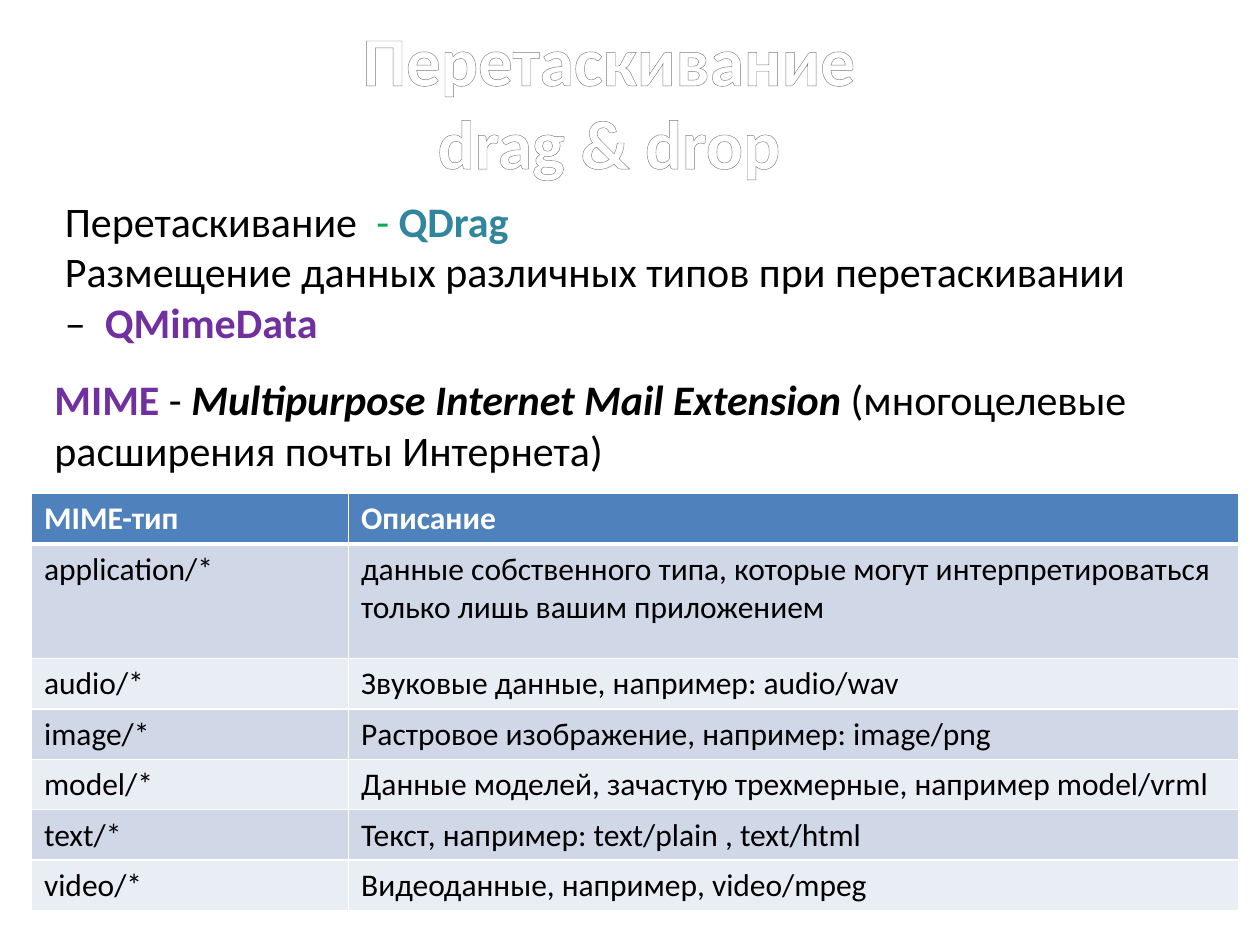
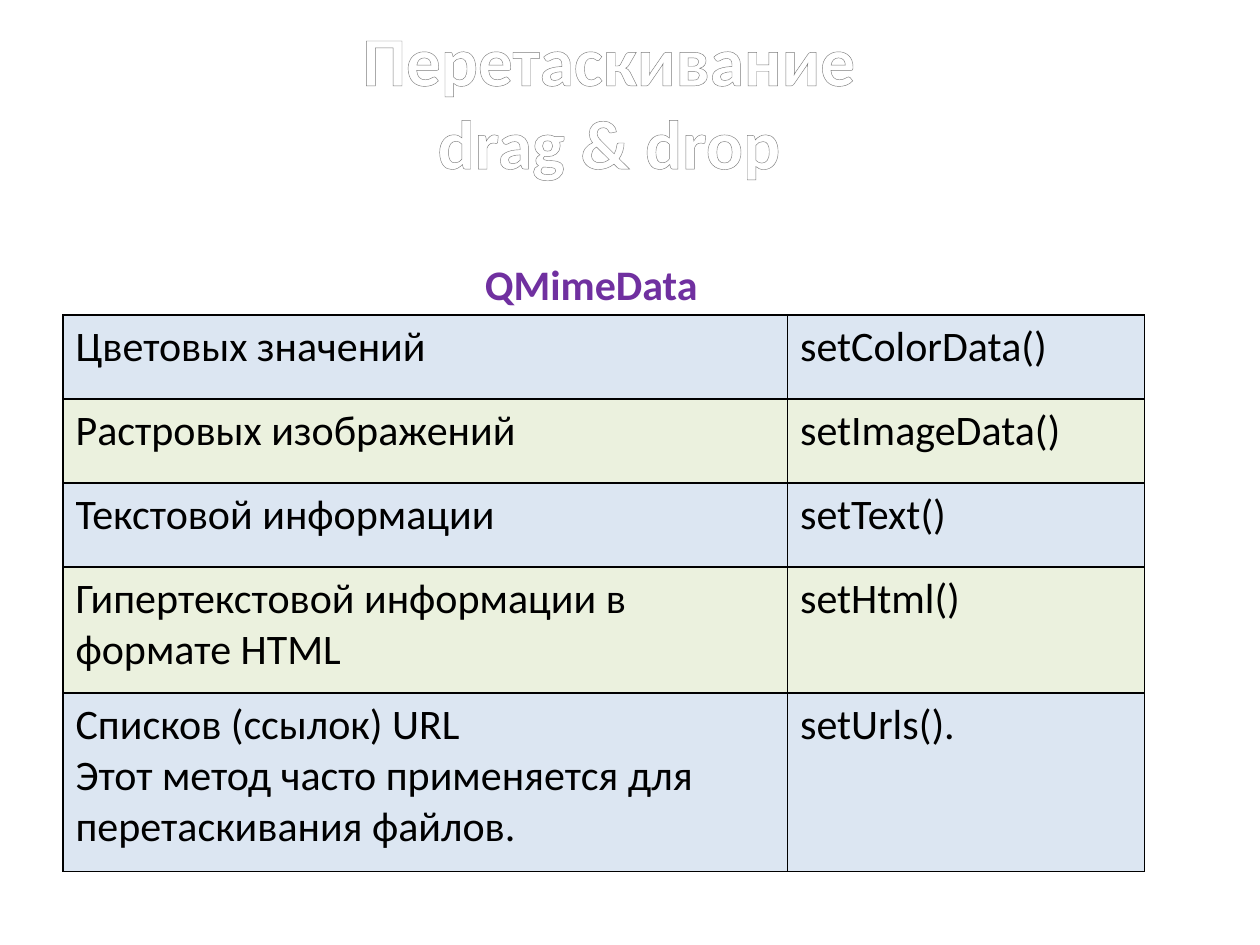
from dataclasses import dataclass

from lxml.etree import SubElement
from pptx import Presentation
from pptx.dml.color import RGBColor
from pptx.enum.text import MSO_ANCHOR as Anchor, MSO_AUTO_SIZE as AutoSize, PP_ALIGN as Align
from pptx.oxml.ns import qn
from pptx.util import Inches, Pt

COLUMNS, ROWS = 120, 90


@dataclass(frozen=True)
class Theme:
    font: str = "Calibri"
    title_size: float = 39.6
    body_size: float = 24
    mime_size: float = 18
    ink: str = "000000"
    paper: str = "FFFFFF"
    green: str = "00B050"
    teal: str = "31859C"
    purple: str = "7030A0"
    header: str = "4F81BD"
    mime_bands: tuple = ("D0D8E8", "E9EDF4")
    method_bands: tuple = ("DCE6F2", "EBF1DE")
    title_outline: str = "7D7D7D"
    title_outline_width: float = 0.83
    title_gradient: tuple = ((0, "FFFFFF"), (9, "FFFFFF"), (50, "7F7F7F"), (79, "FFFFFF"), (100, "FFFFFF"))


def solid_line(parent, tag, color, width):
    line = SubElement(parent, qn(tag), w=str(int(Pt(width))))
    fill = SubElement(line, qn("a:solidFill"))
    SubElement(fill, qn("a:srgbClr"), val=color)
    return line


def write(paragraph, text, *, font, size, color=None, bold=False, italic=False):
    run = paragraph.add_run()
    run.text = text
    run.font.size = Pt(size)
    run.font.bold = bold
    run.font.italic = italic
    if color:
        run.font.color.rgb = RGBColor.from_string(color)
    run.font.name = font
    return run


class Deck:
    def __init__(self, theme):
        self.theme = theme
        self.presentation = Presentation()
        self.presentation.slide_width = Inches(10)
        self.presentation.slide_height = Inches(7.5)
        self.slide = None

    def across(self, columns):
        return round(self.presentation.slide_width * columns / COLUMNS)

    def down(self, rows):
        return round(self.presentation.slide_height * rows / ROWS)

    def area(self, left, top, width, height):
        return self.across(left), self.down(top), self.across(width), self.down(height)

    def add_slide(self, title_lines):
        self.slide = self.presentation.slides.add_slide(self.presentation.slide_layouts[5])
        heading = self.slide.shapes.title
        heading.left, heading.top, heading.width, heading.height = self.area(7, 3, 102, 13)
        frame = heading.text_frame
        frame.auto_size = AutoSize.NONE
        frame.vertical_anchor = Anchor.MIDDLE
        paragraph = frame.paragraphs[0]
        paragraph.alignment = Align.CENTER
        for index, line in enumerate(title_lines):
            if index:
                paragraph.add_line_break()
            run = write(paragraph, line, font=self.theme.font, size=self.theme.title_size, bold=True)
            self.outline(run)

    def outline(self, run):
        theme = self.theme
        properties = run.font._element
        gradient = SubElement(properties, qn("a:gradFill"))
        stops = SubElement(gradient, qn("a:gsLst"))
        for position, color in theme.title_gradient:
            stop = SubElement(stops, qn("a:gs"), pos=str(position * 1000))
            SubElement(stop, qn("a:srgbClr"), val=color)
        SubElement(gradient, qn("a:lin"), ang="5400000", scaled="0")
        properties.insert(0, gradient)
        properties.insert(0, solid_line(properties, "a:ln", theme.title_outline, theme.title_outline_width))

    def add_text(self, area, *paragraphs):
        frame = self.slide.shapes.add_textbox(*self.area(*area)).text_frame
        frame.word_wrap = True
        frame.auto_size = AutoSize.SHAPE_TO_FIT_TEXT
        self.fill_frame(frame, paragraphs, self.theme.body_size)

    def fill_frame(self, frame, paragraphs, size, **defaults):
        for index, phrases in enumerate(paragraphs):
            paragraph = frame.add_paragraph() if index else frame.paragraphs[0]
            for text, style in phrases:
                style = {"color": self.theme.ink, **defaults, **style}
                write(paragraph, text, font=self.theme.font, size=size, **style)

    def add_table(self, corner, widths, heights, entries, *, size, bands, border, header=False):
        table = self.slide.shapes.add_table(
            len(heights), len(widths), *self.area(*corner, sum(widths), sum(heights))
        ).table
        table.first_row = header
        table.horz_banding = False
        for column, width in zip(table.columns, widths):
            column.width = self.across(width)
        for number, (row, height, texts) in enumerate(zip(table.rows, heights, entries)):
            row.height = self.down(height)
            heading = header and number == 0
            band = self.theme.header if heading else bands[(number - header) % 2]
            edges = {"L": 1, "R": 1, "T": 3 if header and number == 1 else 1, "B": 3 if heading else 1}
            style = {"color": self.theme.paper, "bold": True} if heading else {}
            for cell, text in zip(row.cells, texts):
                properties = cell._tc.get_or_add_tcPr()
                for side, width in edges.items():
                    solid_line(properties, f"a:ln{side}", border, width)
                cell.fill.solid()
                cell.fill.fore_color.rgb = RGBColor.from_string(band)
                paragraphs = [[(line, style)] for line in text.split("\n")]
                self.fill_frame(cell.text_frame, paragraphs, size)


MIME_TYPES = [
    ("MIME-тип", "Описание"),
    ("application/*", "данные собственного типа, которые могут интерпретироваться только лишь вашим приложением"),
    ("audio/*", "Звуковые данные, например: audio/wav"),
    ("image/*", "Растровое изображение, например: image/png"),
    ("model/*", "Данные моделей, зачастую трехмерные, например model/vrml"),
    ("text/*", "Текст, например: text/plain , text/html"),
    ("video/*", "Видеоданные, например, video/mpeg"),
]
SETTERS = [
    ("Цветовых значений", "setColorData()"),
    ("Растровых изображений", "setImageData()"),
    ("Текстовой информации", "setText()"),
    ("Гипертекстовой информации в формате HTML", "setHtml()"),
    ("Списков (ссылок) URL\nЭтот метод часто применяется для перетаскивания файлов.", "setUrls()."),
]
TITLE = ("Перетаскивание", "drag & drop")


def main():
    theme = Theme()
    deck = Deck(theme)
    mime_accent = {"color": theme.purple, "bold": True}

    deck.add_slide(TITLE)
    deck.add_text(
        (5, 18, 106, 15.7),
        [
            ("Перетаскивание  ", {}),
            ("- ", {"color": theme.green}),
            ("QDrag", {"color": theme.teal, "bold": True}),
        ],
        [
            ("Размещение данных различных типов при перетаскивании –  ", {}),
            ("QMimeData", mime_accent),
        ],
    )
    deck.add_text(
        (4, 35, 108, 10.9),
        [
            ("MIME ", mime_accent),
            ("- ", {}),
            ("Multipurpose Internet Mail Extension ", {"bold": True, "italic": True}),
            ("(многоцелевые расширения почты Интернета)", {}),
        ],
    )
    deck.add_table(
        (3, 47), (30.2, 84.8), [4.8, 10.9] + [4.8] * 5, MIME_TYPES,
        size=theme.mime_size, bands=theme.mime_bands, border=theme.paper, header=True,
    )

    deck.add_slide(TITLE)
    deck.add_text((45, 24, 31, 6), [("QMimeData", mime_accent)])
    deck.add_table(
        (6, 30), (69, 34), (8, 8, 8, 12, 17), SETTERS,
        size=theme.body_size, bands=theme.method_bands, border=theme.ink,
    )

    deck.presentation.save("out.pptx")


if __name__ == "__main__":
    main()
